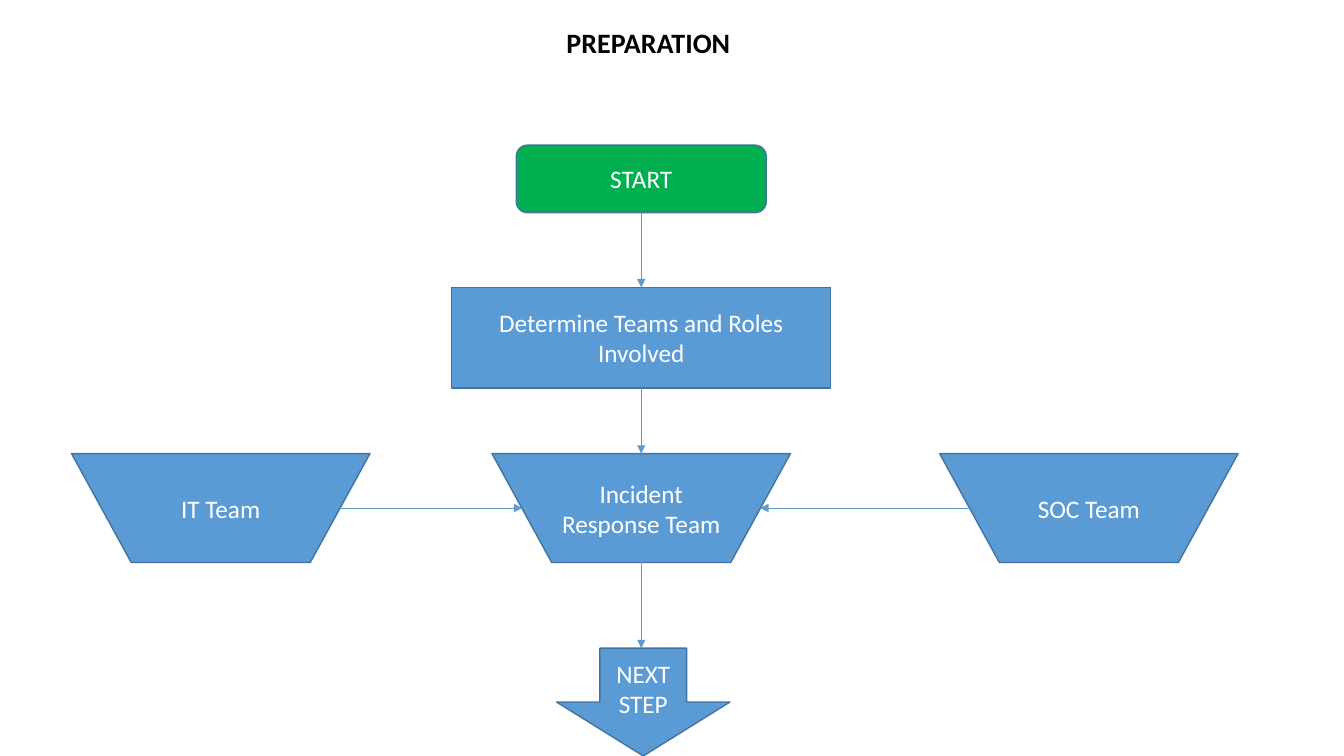
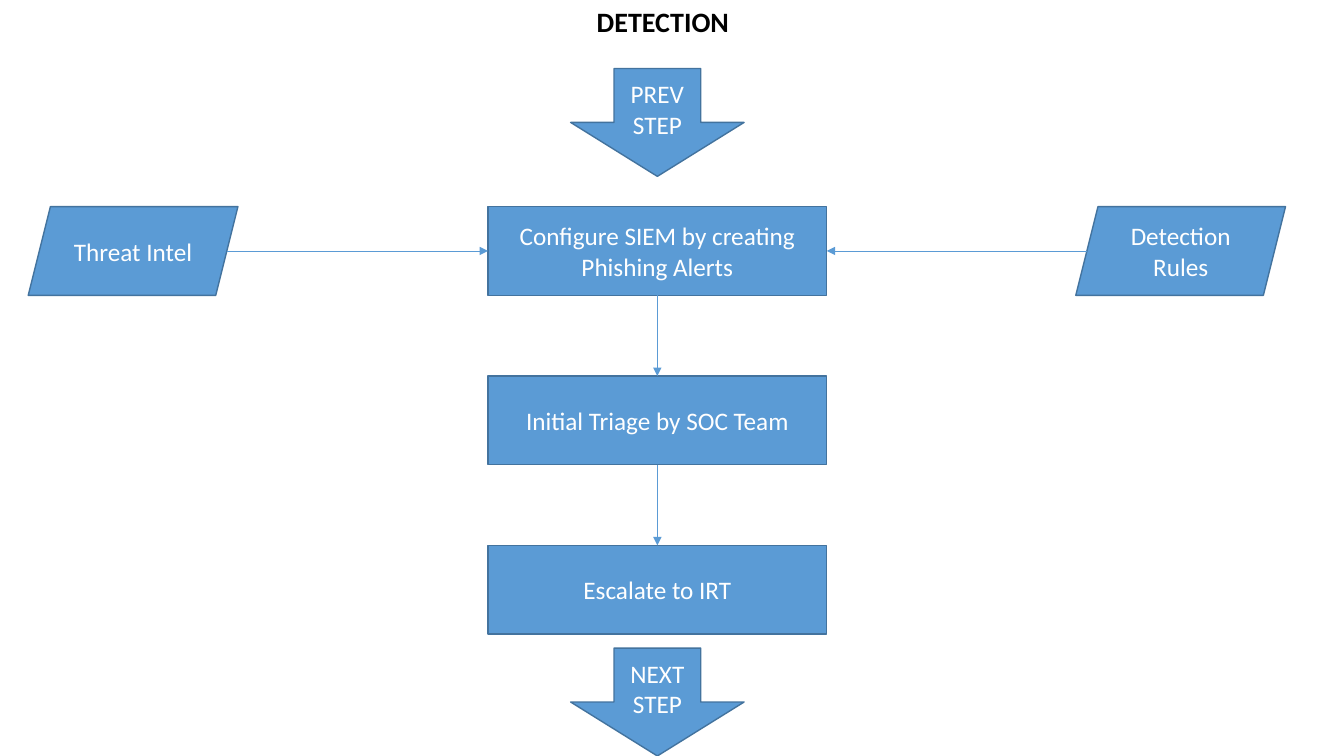
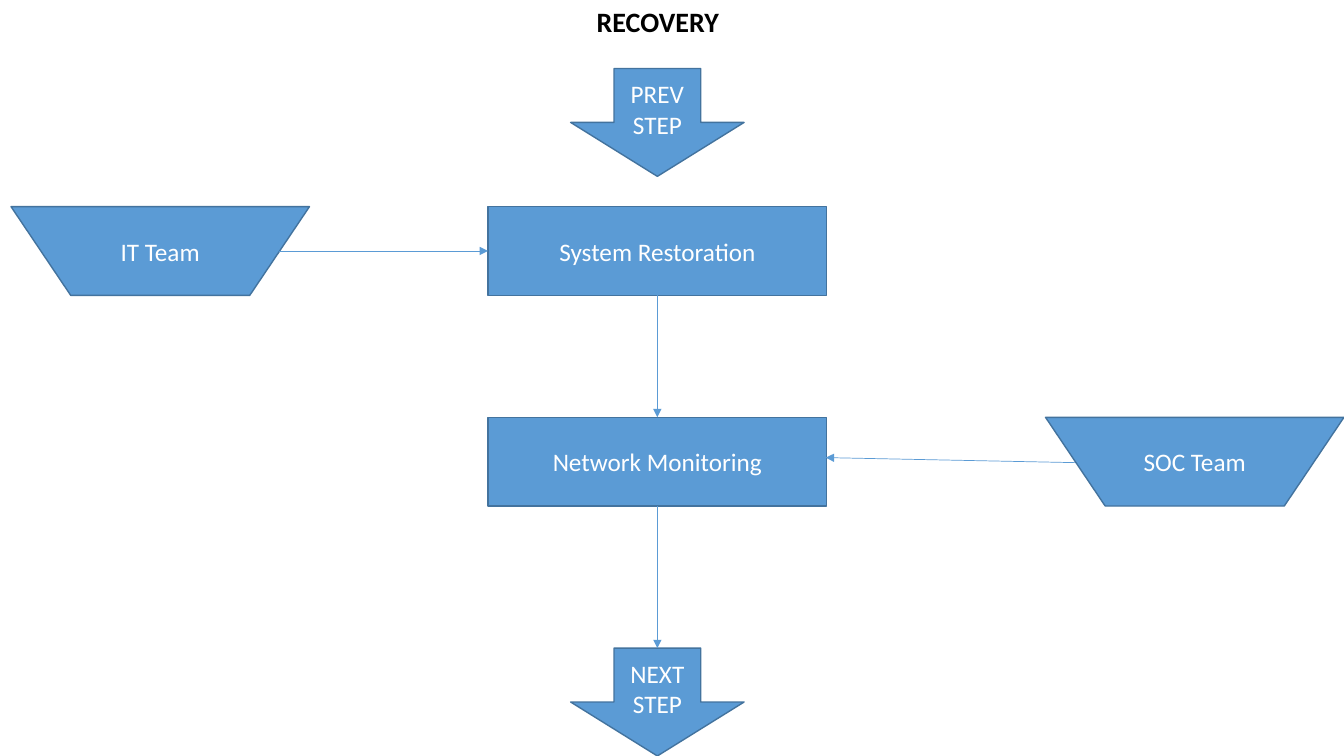
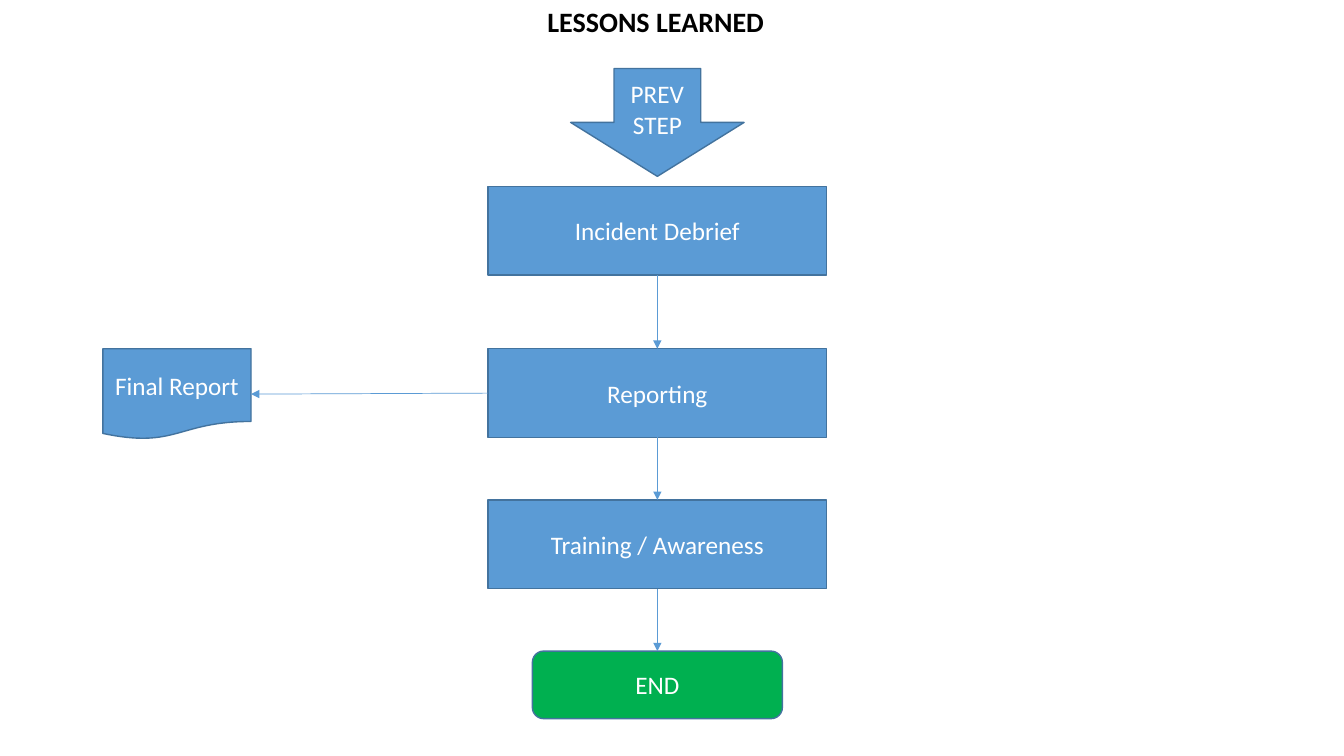
from dataclasses import dataclass
from itertools import pairwise
from typing import Any

from lxml.etree import SubElement
from pptx import Presentation
from pptx.dml.color import RGBColor
from pptx.enum.shapes import MSO_CONNECTOR, MSO_SHAPE
from pptx.enum.text import MSO_ANCHOR, MSO_AUTO_SIZE, PP_ALIGN
from pptx.oxml.ns import qn
from pptx.util import Pt

PX = 9144  # EMU per px, 100 px to the inch
WIDTH, HEIGHT = 1333, 750
TOP, LEFT, BOTTOM, RIGHT = range(4)
MID = 652
STEP = (336, 88)
TEAM = (296, 88)
DATA = (208, 88)
TEAM_SLANT, DATA_SLANT = 30, 11


@dataclass(frozen=True)
class Theme:
    blue: RGBColor = RGBColor(0x5B, 0x9B, 0xD5)
    edge: RGBColor = RGBColor(0x43, 0x73, 0x9E)
    green: RGBColor = RGBColor(0x00, 0xB0, 0x50)
    black: RGBColor = RGBColor(0x00, 0x00, 0x00)
    white: RGBColor = RGBColor(0xFF, 0xFF, 0xFF)
    font: str = "Calibri"
    title: Any = Pt(20)
    body: Any = Pt(18)
    border: Any = Pt(1)
    thin: Any = Pt(0.5)


THEME = Theme()


@dataclass
class End:
    """One end of a link: a point in px and the box side it joins, if any."""
    x: int
    y: int
    box: Any = None
    site: int = TOP


def style(target, values):
    for name, value in values.items():
        setattr(target, name, value)


def write(frame, text, color, size, bold=False, align=PP_ALIGN.CENTER):
    frame.text = text
    for para in frame.paragraphs:
        para.alignment = align
        for run in para.runs:
            style(run.font, {"name": THEME.font, "size": size, "bold": bold})
            run.font.color.rgb = color


def new_slide(deck, title, left=582, top=0, width=186):
    slide = deck.slides.add_slide(deck.slide_layouts[6])
    box = slide.shapes.add_textbox(left * PX, top * PX, width * PX, 44 * PX)
    write(box.text_frame, title, THEME.black, THEME.title, True, PP_ALIGN.LEFT)
    style(box.text_frame, {"word_wrap": True,
                           "auto_size": MSO_AUTO_SIZE.SHAPE_TO_FIT_TEXT})
    return slide


def node(slide, kind, text, mid, top, size, fill=THEME.blue):
    """Add a box centred on the x position mid."""
    width, height = size
    box = slide.shapes.add_shape(kind, (mid - width // 2) * PX, top * PX,
                                 width * PX, height * PX)
    box.shadow.inherit = False
    box.fill.solid()
    box.fill.fore_color.rgb = fill
    box.line.color.rgb = THEME.edge
    box.line.width = THEME.border
    style(box.text_frame, {"word_wrap": True,
                           "vertical_anchor": MSO_ANCHOR.MIDDLE})
    write(box.text_frame, text, THEME.white, THEME.body)
    return box


def step(slide, text, top, mid=MID, size=STEP):
    return node(slide, MSO_SHAPE.RECTANGLE, text, mid, top, size)


def team(slide, text, mid, top, size=TEAM):
    return node(slide, MSO_SHAPE.FLOWCHART_MANUAL_OPERATION, text, mid, top, size)


def data(slide, text, mid, top):
    return node(slide, MSO_SHAPE.PARALLELOGRAM, text, mid, top, DATA)


def limit(slide, text, mid, top):
    """Add the green box that starts or ends the process."""
    return node(slide, MSO_SHAPE.FLOWCHART_ALTERNATE_PROCESS, text, mid, top,
                (248, 67), THEME.green)


def arrow(slide, word, top, mid=MID):
    return node(slide, MSO_SHAPE.DOWN_ARROW, f"{word}\nSTEP", mid, top, (172, 107))


def prev_step(slide):
    return arrow(slide, "PREV", 68)


def next_step(slide, mid=MID):
    return arrow(slide, "NEXT", 643, mid)


def join(box, site):
    """Give the end at the middle of a box side."""
    x = box.left + box.width * {LEFT: 0, RIGHT: 2}.get(site, 1) // 2
    y = box.top + box.height * {TOP: 0, BOTTOM: 2}.get(site, 1) // 2
    return End(x // PX, y // PX, box, site)


def flank(box, site, slant):
    """Give the end at the middle of a slanted side."""
    end = join(box, site)
    return End(end.x + (slant if site == LEFT else -slant), end.y)


def link(slide, start, end):
    line = slide.shapes.add_connector(MSO_CONNECTOR.STRAIGHT, start.x * PX,
                                      start.y * PX, end.x * PX, end.y * PX)
    if start.box is not None:
        line.begin_connect(start.box, start.site)
    if end.box is not None:
        line.end_connect(end.box, end.site)
    line.line.color.rgb = THEME.blue
    line.line.width = THEME.thin
    SubElement(line.line._get_or_add_ln(), qn("a:tailEnd"), type="triangle")
    SubElement(line._element.spPr, qn("a:effectLst"))


def chain(slide, *boxes):
    """Link each box to the one below it."""
    for upper, lower in pairwise(boxes):
        link(slide, join(upper, BOTTOM), join(lower, TOP))


def prepare(deck):
    slide = new_slide(deck, "PREPARATION", 552, 20)
    mid, row, size = 636, 450, (296, 108)
    start = limit(slide, "START", mid, 144)
    roles = step(slide, "Determine Teams and Roles Involved", 285, mid, (376, 100))
    crew = team(slide, "Incident Response Team", mid, row, size)
    tech = team(slide, "IT Team", 219, row, size)
    watch = team(slide, "SOC Team", 1080, row, size)
    chain(slide, start, roles, crew)
    link(slide, join(crew, BOTTOM), End(mid, 643))
    for box, near, far in ((tech, RIGHT, LEFT), (watch, LEFT, RIGHT)):
        link(slide, flank(box, near, TEAM_SLANT), flank(crew, far, TEAM_SLANT))
    next_step(slide, 638)


def detect(deck):
    slide = new_slide(deck, "DETECTION")
    names = ("Configure SIEM by creating Phishing Alerts",
             "Initial Triage by SOC Team", "Escalate to IRT")
    steps = [step(slide, name, 205 + 168 * i) for i, name in enumerate(names)]
    prev_step(slide)
    next_step(slide)
    chain(slide, *steps)
    for name, mid, near, far in (("Detection Rules", 1171, LEFT, RIGHT),
                                 ("Threat Intel", 132, RIGHT, LEFT)):
        box = data(slide, name, mid, 205)
        link(slide, flank(box, near, DATA_SLANT), join(steps[0], far))


def recover(deck):
    slide = new_slide(deck, "RECOVERY")
    restore = step(slide, "System Restoration", 205)
    watch = step(slide, "Network Monitoring", 414)
    prev_step(slide)
    chain(slide, restore, watch, next_step(slide))
    link(slide, End(1067, 459), End(819, 454))
    team(slide, "SOC Team", 1185, 414)
    tech = team(slide, "IT Team", 159, 205)
    link(slide, flank(tech, RIGHT, TEAM_SLANT), join(restore, LEFT))


def review(deck):
    slide = new_slide(deck, "LESSONS LEARNED", 533, width=238)
    debrief = step(slide, "Incident Debrief", 185)
    report = step(slide, "Reporting", 346)
    train = step(slide, "Training / Awareness", 496)
    prev_step(slide)
    chain(slide, debrief, report, train, limit(slide, "END", MID, 646))
    paper = node(slide, MSO_SHAPE.FLOWCHART_DOCUMENT, "Final Report", 175, 346,
                 (147, 90))
    link(slide, join(report, LEFT), join(paper, RIGHT))


def main():
    deck = Presentation()
    style(deck, {"slide_width": WIDTH * PX, "slide_height": HEIGHT * PX})
    for build in (prepare, detect, recover, review):
        build(deck)
    deck.save("out.pptx")


if __name__ == "__main__":
    main()
